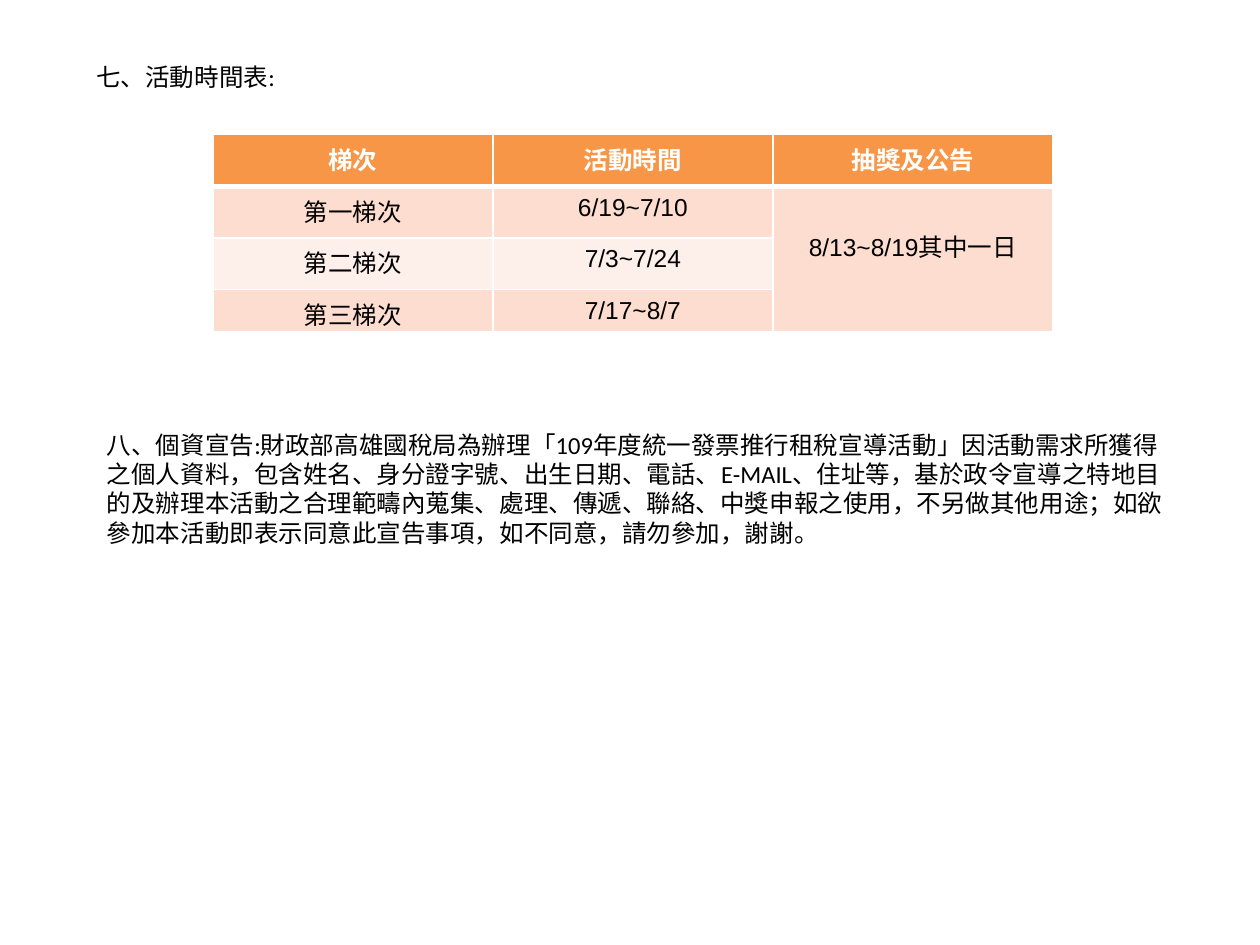
import pptx
import pptx.dml.color
import pptx.enum.text
import pptx.oxml.ns
import pptx.util
from lxml import etree

Pt = pptx.util.Pt

HEADERS = ["梯次", "活動時間", "抽獎及公告"]
SESSIONS = [
    ("第一梯次", "6/19~7/10"),
    ("第二梯次", "7/3~7/24"),
    ("第三梯次", "7/17~8/7"),
]
DRAW_DATE = "8/13~8/19其中一日"
PRIVACY_RUNS = [
    ("八、個資宣告:財政部高雄國稅局為辦理", "Calibri"),
    ("「", "Noto Sans CJK TC"),
    ("109年度統一發票推行租稅宣導活動", "Calibri"),
    ("」因活動", "Noto Sans CJK TC"),
    ("需求所獲得之個人資料，包含姓名、身分證字號、出生日期、電話、E-MAIL、住址等，"
     "基於政令宣導之特地目的及辦理本活動之合理範疇內蒐集、處理、傳遞、聯絡、中獎申報之使用，"
     "不另做其他用途；如欲參加本活動即表示同意此宣告事項，如不同意，請勿參加，謝謝。", "Calibri"),
]
HEADER_FILL = "F79646"
BAND_FILLS = ["FCDDCF", "FDEFE9"]


def color(value):
    return pptx.dml.color.RGBColor.from_string(value)


def add_run(paragraph, text, font_name, font_color="000000", bold=False):
    run = paragraph.add_run()
    run.text = text
    run.font.name = font_name
    run.font.size = Pt(14)
    run.font.bold = bold
    run.font.color.rgb = color(font_color)


def add_text(slide, left, top, width, height, runs, wrap):
    shape = slide.shapes.add_textbox(Pt(left), Pt(top), Pt(width), Pt(height))
    shape.text_frame.word_wrap = wrap
    for text, font_name in runs:
        add_run(shape.text_frame.paragraphs[0], text, font_name)


def set_borders(cell, top=1, bottom=1):
    """Draw white cell borders; must run before the cell gets its fill."""
    properties = cell._tc.get_or_add_tcPr()
    widths = {"a:lnL": 1, "a:lnR": 1, "a:lnT": top, "a:lnB": bottom}
    for tag, width in widths.items():
        line = etree.SubElement(properties, pptx.oxml.ns.qn(tag), w=str(Pt(width)))
        fill = etree.SubElement(line, pptx.oxml.ns.qn("a:solidFill"))
        etree.SubElement(fill, pptx.oxml.ns.qn("a:srgbClr"), val="FFFFFF")


def fill_cell(cell, fill, text="", font_color="000000", bold=False):
    cell.fill.solid()
    cell.fill.fore_color.rgb = color(fill)
    paragraph = cell.text_frame.paragraphs[0]
    paragraph.alignment = pptx.enum.text.PP_ALIGN.CENTER
    if text:
        add_run(paragraph, text, "Arial", font_color, bold)


def set_compact(cell):
    """Use tight margins and fixed line spacing, as in the dates column."""
    cell.margin_left = cell.margin_right = Pt(5)
    cell.margin_top = cell.margin_bottom = Pt(0)
    cell.text_frame.paragraphs[0].line_spacing = Pt(20)


def add_schedule(slide):
    frame = slide.shapes.add_table(4, 3, Pt(121.7), Pt(77), Pt(480), Pt(111.6))
    table = frame.table
    for row, height in zip(table.rows, [29.5, 29.5, 29.5, 10]):
        row.height = Pt(height)
    frame.height = Pt(111.6)

    for column, header in enumerate(HEADERS):
        cell = table.cell(0, column)
        set_borders(cell, bottom=3)
        fill_cell(cell, HEADER_FILL, header, "FFFFFF", True)

    for row, session in enumerate(SESSIONS, start=1):
        draw_text = DRAW_DATE if row == 1 else ""
        for column, text in enumerate([*session, draw_text]):
            cell = table.cell(row, column)
            set_borders(cell, top=3 if row == 1 else 1)
            fill_cell(cell, BAND_FILLS[(row - 1) % 2], text)
        set_compact(table.cell(row, 1))

    draw_cell = table.cell(1, 2)
    draw_cell.merge(table.cell(3, 2))
    draw_cell.margin_top = Pt(23.6)


def main():
    presentation = pptx.Presentation()
    presentation.slide_width = Pt(720)
    presentation.slide_height = Pt(540)
    slide = presentation.slides.add_slide(presentation.slide_layouts[6])
    add_text(slide, 48, 32, 117.5, 46, [("七、活動時間表:", "Calibri")], False)
    add_schedule(slide)
    add_text(slide, 54, 242, 618, 92, PRIVACY_RUNS, True)
    presentation.save("out.pptx")


if __name__ == "__main__":
    main()
